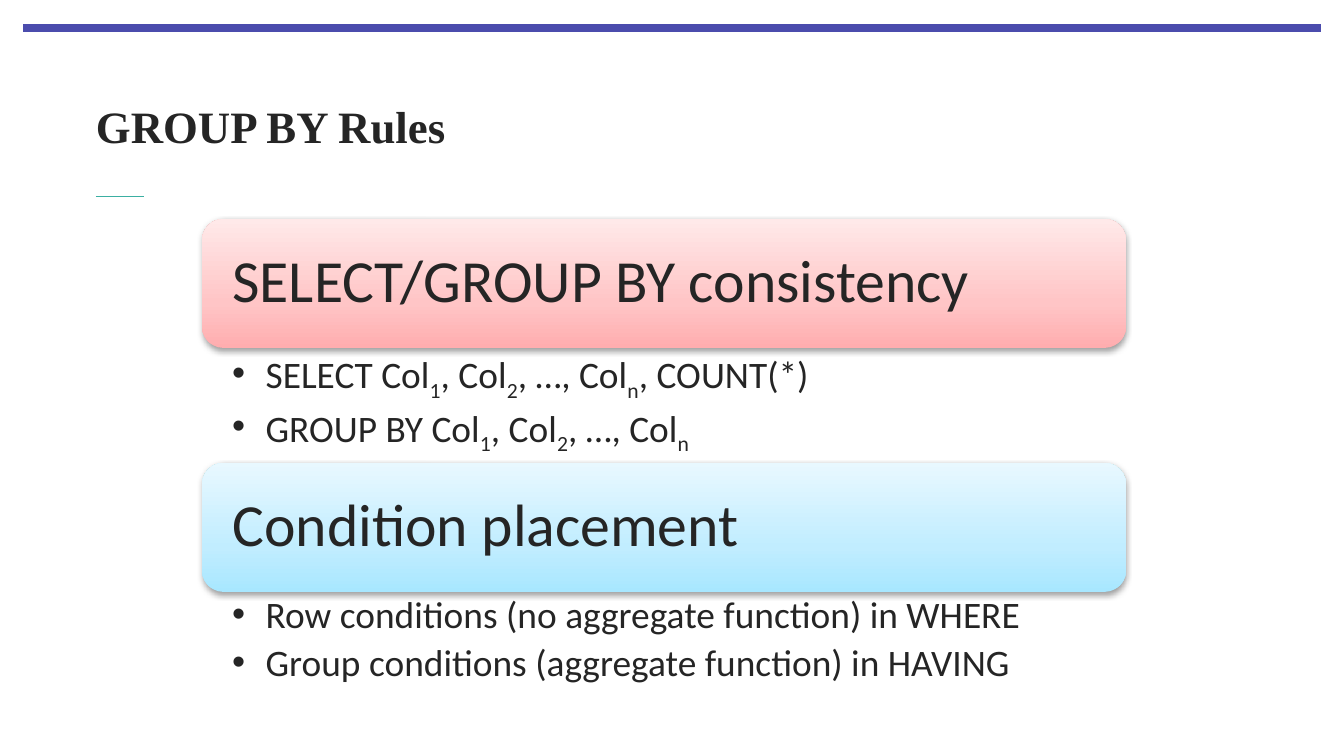
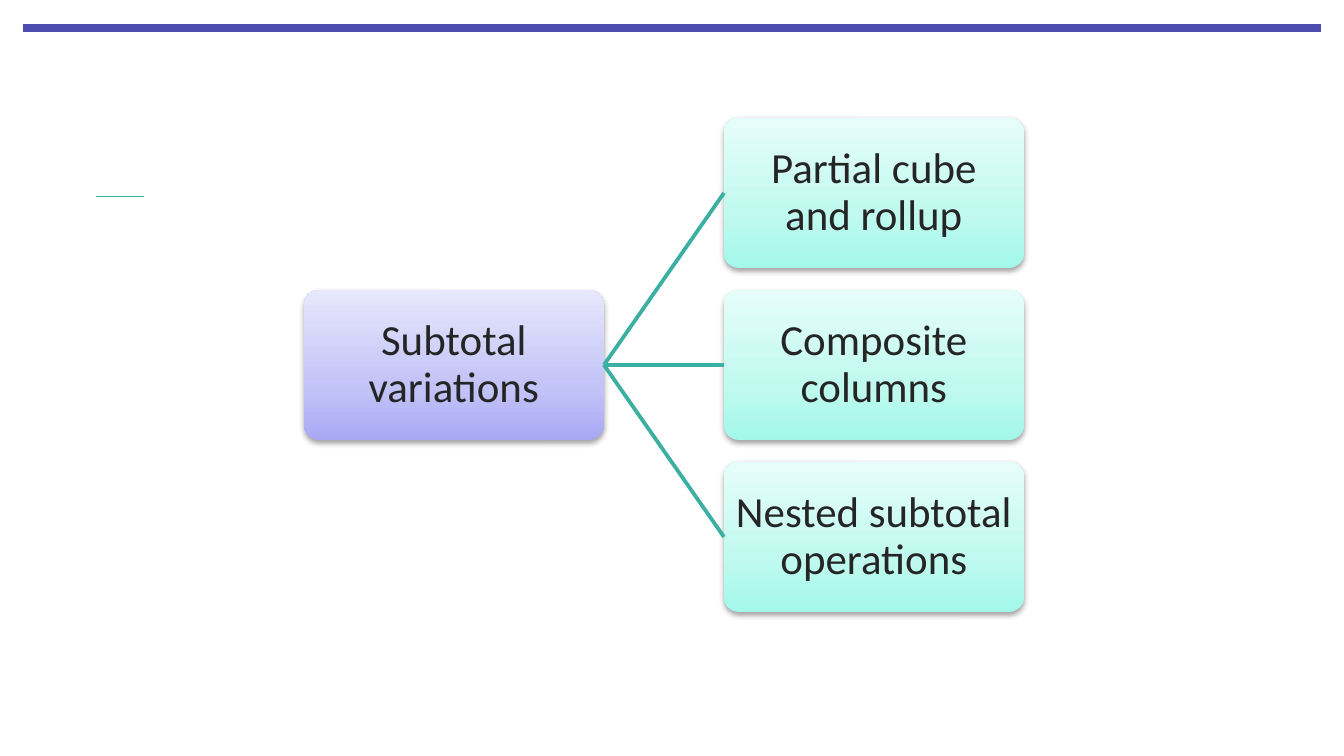
from copy import deepcopy

from lxml.etree import SubElement
from pptx import Presentation
from pptx.dml.color import RGBColor
from pptx.enum.shapes import MSO_CONNECTOR, MSO_SHAPE
from pptx.enum.text import MSO_ANCHOR, MSO_AUTO_SIZE, PP_ALIGN
from pptx.oxml.ns import qn
from pptx.util import Pt

SCALE = 914400 / 134.4
INK = RGBColor(0x25, 0x25, 0x25)
INDIGO = RGBColor(0x4B, 0x4C, 0xAD)
TEAL = RGBColor(0x3B, 0xAF, 0xA2)
ROSE = (RGBColor(0xFF, 0xAD, 0xAF), RGBColor(0xFF, 0xC5, 0xC6), RGBColor(0xFF, 0xE9, 0xE9))
SKY = (RGBColor(0xA8, 0xE7, 0xFF), RGBColor(0xC1, 0xED, 0xFF), RGBColor(0xE8, 0xF8, 0xFF))
LILAC = (RGBColor(0xA8, 0xA8, 0xF5), RGBColor(0xC2, 0xC3, 0xF6), RGBColor(0xE7, 0xE7, 0xFD))
MINT = (RGBColor(0xA3, 0xF8, 0xEA), RGBColor(0xBF, 0xF9, 0xEF), RGBColor(0xE6, 0xFE, 0xFA))
STOPS = (0, 0.35, 1)
BODY = "Calibri"
HEAD = "Times New Roman"

RULES = (
    ("SELECT/GROUP BY consistency", ROSE,
     ("SELECT Col|1|, Col|2|, …, Col|n|, COUNT(*)", "GROUP BY Col|1|, Col|2|, …, Col|n")),
    ("Condition placement", SKY,
     ("Row conditions (no aggregate function) in WHERE",
      "Group conditions (aggregate function) in HAVING")),
)
KINDS = ("Partial cube and rollup", "Composite columns", "Nested subtotal operations")


def px(*sizes):
    """Turn pixel lengths into EMU."""
    return [round(size * SCALE) for size in sizes]


def place(shape, *box):
    """Move and size a shape."""
    shape.left, shape.top, shape.width, shape.height = px(*box)


def inset(frame, *sides):
    """Set the left, top, right and bottom margins of a wrapping frame."""
    frame.word_wrap = True
    frame.auto_size = MSO_AUTO_SIZE.NONE
    (frame.margin_left, frame.margin_top,
     frame.margin_right, frame.margin_bottom) = px(*sides)


def style(para, size, name=BODY, align=PP_ALIGN.LEFT):
    """Set the font and alignment of a paragraph."""
    para.alignment = align
    para.font.size = Pt(size)
    para.font.name = name
    para.font.color.rgb = INK


def draw_line(slide, width, *ends):
    """Draw a flat teal line."""
    line = slide.shapes.add_connector(MSO_CONNECTOR.STRAIGHT, *px(*ends))
    line.line.color.rgb = TEAL
    line.line.width = Pt(width)
    SubElement(line.element.spPr, qn("a:effectLst"))
    return line


def add_page(deck, layout):
    """Add a slide with the top band and the short rule."""
    slide = deck.slides.add_slide(deck.slide_layouts.get_by_name(layout))
    band = slide.shapes.add_shape(MSO_SHAPE.RECTANGLE, *px(23, 24, 1298, 8))
    band.shadow.inherit = False
    band.fill.solid()
    band.fill.fore_color.rgb = INDIGO
    band.line.fill.background()
    draw_line(slide, 0.5, 96, 196, 144, 196)
    return slide


def set_title(slide, text):
    """Fill and format the title."""
    title = slide.shapes.title
    place(title, 96, 63, 1171, 126)
    frame = title.text_frame
    inset(frame, 0, 0, 0, 0)
    frame.vertical_anchor = MSO_ANCHOR.MIDDLE
    frame.text = text
    style(frame.paragraphs[0], 24, HEAD)
    frame.paragraphs[0].font.bold = True


def shade(shape, tones):
    """Give a shape an upward gradient and a soft shadow."""
    fill = shape.fill
    fill.gradient()
    fill.gradient_angle = 90
    stops = shape.element.spPr.find(".//" + qn("a:gsLst"))
    stops.insert(1, deepcopy(stops[0]))
    for stop, spot, tone in zip(fill.gradient_stops, STOPS, tones):
        stop.position = spot
        stop.color.rgb = tone
    shape.line.fill.background()
    shape.shadow.inherit = False
    effects = shape.element.spPr.find(qn("a:effectLst"))
    outer = SubElement(effects, qn("a:outerShdw"), blurRad="40000", dist="20000",
                       dir="5400000", rotWithShape="0")
    black = SubElement(outer, qn("a:srgbClr"), val="000000")
    SubElement(black, qn("a:alpha"), val="38000")


def add_card(slide, box, text, tones, size, pad, align):
    """Draw a rounded card with its label."""
    card = slide.shapes.add_shape(MSO_SHAPE.ROUNDED_RECTANGLE, *px(*box))
    shade(card, tones)
    frame = card.text_frame
    inset(frame, pad, pad, pad, pad)
    frame.vertical_anchor = MSO_ANCHOR.MIDDLE
    frame.text = text
    para = frame.paragraphs[0]
    style(para, size, align=align)
    para.line_spacing = 0.9
    return card


def add_runs(para, text):
    """Add runs, lowering every second part between bars."""
    for index, part in enumerate(text.split("|")):
        run = para.add_run()
        run.text = part
        if index % 2:
            run._r.get_or_add_rPr().set("baseline", "-25000")


def set_bullet(para):
    """Give a paragraph a round bullet with a hanging indent."""
    props = para._p.get_or_add_pPr()
    props.set("marL", "228600")
    props.set("indent", "-228600")
    mark = props.makeelement(qn("a:buChar"), {"char": "•"})
    props.insert_element_before(mark, "a:tabLst", "a:defRPr", "a:extLst")


def fill_list(body, box, items):
    """Fill and format a bullet list."""
    place(body, *box)
    frame = body.text_frame
    inset(frame, 30, 4, 22, 4)
    frame.vertical_anchor = MSO_ANCHOR.TOP
    for index, item in enumerate(items):
        para = frame.add_paragraph() if index else frame.paragraphs[0]
        para.level = 1
        add_runs(para, item)
        style(para, 20)
        para.line_spacing = 0.9
        para.space_before = Pt(0)
        para.space_after = Pt(4)
        set_bullet(para)


def add_rules(deck):
    """Build the slide of GROUP BY rules."""
    slide = add_page(deck, "Two Content")
    set_title(slide, "GROUP BY Rules")
    left, top, width, bar, room = 202, 219, 924, 129, 115
    bodies = list(slide.placeholders)[1:3]
    for body, (head, tones, items) in zip(bodies, RULES):
        add_card(slide, (left, top, width, bar), head, tones, 32, 24, PP_ALIGN.LEFT)
        fill_list(body, (left, top + bar, width, room), items)
        top += bar + room


def add_tree(deck):
    """Build the slide of subtotal variations."""
    slide = add_page(deck, "Blank")
    wide, high, top, step = 300, 150, 118, 172

    def node(left, row, text, tones):
        """Draw one node of the tree."""
        card = add_card(slide, (left, top + row * step, wide, high), text, tones,
                        23, 7, PP_ALIGN.CENTER)
        card.adjustments[0] = 0.1
        return card

    root = node(304, 1, "Subtotal variations", LILAC)
    for row, kind in enumerate(KINDS):
        leaf = node(724, row, kind, MINT)
        line = draw_line(slide, 2, 0, 0, 0, 0)
        line.begin_connect(root, 3)
        line.end_connect(leaf, 1)


def main():
    """Build and save the deck."""
    deck = Presentation()
    deck.slide_width, deck.slide_height = px(1344, 756)
    add_rules(deck)
    add_tree(deck)
    deck.save("out.pptx")


if __name__ == "__main__":
    main()
